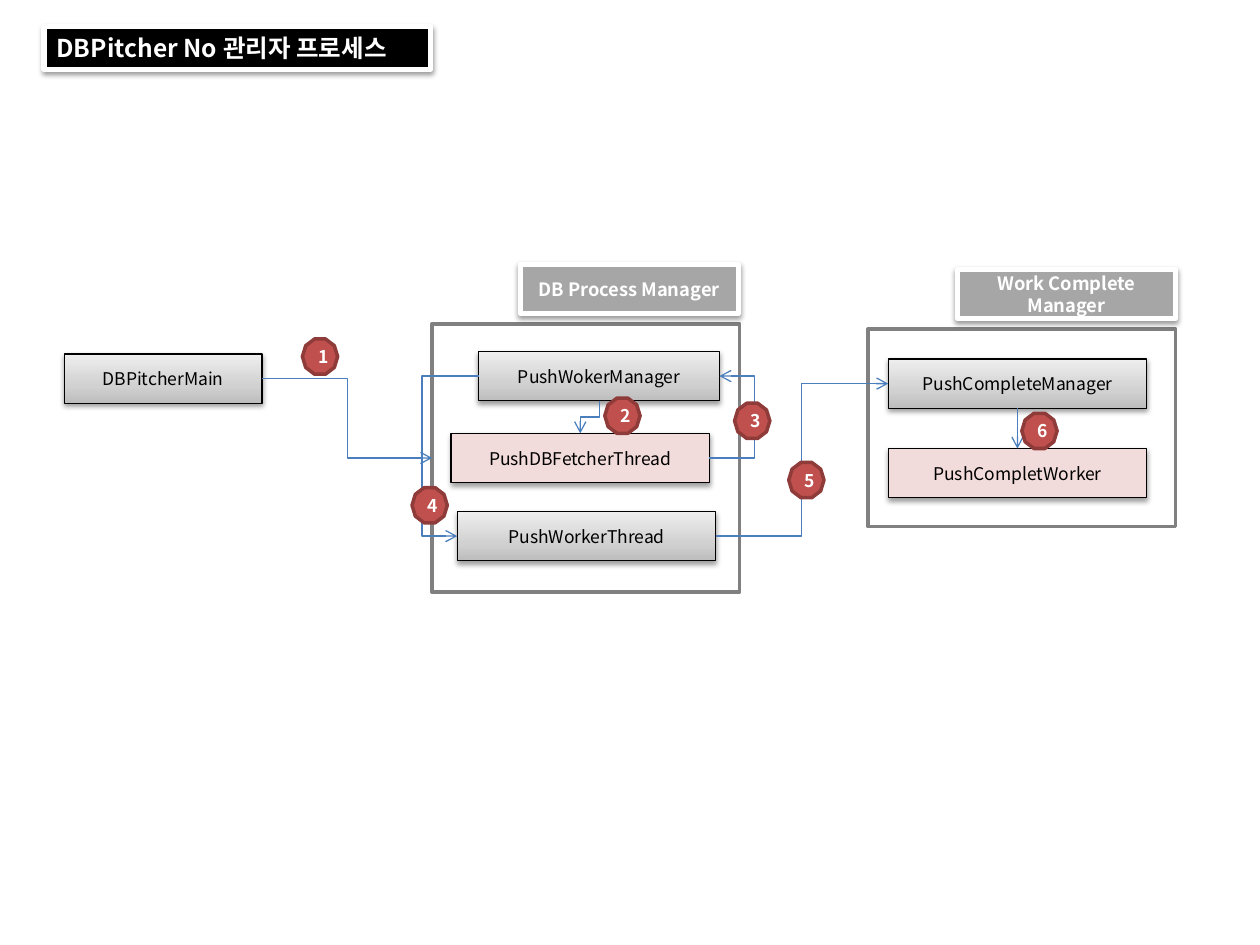
"""Builds the DBPitcher process flow slide."""
from lxml import etree
from pptx import Presentation
from pptx.dml.color import RGBColor
from pptx.enum import shapes, text
from pptx.oxml.ns import qn
from pptx.util import Inches, Pt

FONT = "Noto Sans CJK KR"
COLORS = {
    "black": "000000", "white": "FFFFFF", "label": "A6A6A6", "frame": "808080",
    "thread": "F2DCDB", "arrow": "4B7EBC", "badge": "C0504D", "badge_edge": "8E3B39",
}
STEEL = ((0, "BDBDBD"), (35, "D1D1D1"), (100, "EEEEEE"))
TITLE = ("DBPitcher No 관리자 프로세스", 0.35, 0.21, 3.07, 0.34)
BOX_H = 0.39
BADGE = 0.28
FRAMES = {"db": (3.43, 2.57, 2.44, 2.13), "complete": (6.89, 2.61, 2.44, 1.57)}
LABELS = [("DB Process Manager", 4.13, 2.1, 1.73), ("Work Complete Manager", 7.6, 2.14, 1.73)]
BOXES = [
    ("DBPitcherMain", 0.51, 2.81, 1.57, "steel"),
    ("PushWokerManager", 3.8, 2.79, 1.91, "steel"),
    ("PushDBFetcherThread", 3.58, 3.44, 2.05, "thread"),
    ("PushWorkerThread", 3.63, 4.06, 2.05, "steel"),
    ("PushCompleteManager", 7.05, 2.85, 2.05, "steel"),
    ("PushCompletWorker", 7.05, 3.56, 2.05, "thread"),
]
TOP, LEFT, BOTTOM, RIGHT = range(4)
STEPS = [
    ("DBPitcherMain", RIGHT, "db", LEFT, 2.76, (2.4, 2.69)),
    ("PushWokerManager", BOTTOM, "PushDBFetcherThread", TOP, None, (4.8, 3.16)),
    ("PushDBFetcherThread", RIGHT, "PushWokerManager", RIGHT, 5.99, (5.83, 3.2)),
    ("PushWokerManager", LEFT, "PushWorkerThread", LEFT, 3.35, (3.27, 3.87)),
    ("PushWorkerThread", RIGHT, "PushCompleteManager", LEFT, 6.36, (6.26, 3.67)),
    ("PushCompleteManager", BOTTOM, "PushCompletWorker", TOP, None, (8.11, 3.28)),
]


def rgb(name):
    return RGBColor.from_string(COLORS[name])


def child(parent, tag, **attributes):
    return etree.SubElement(parent, qn(tag), {k: str(v) for k, v in attributes.items()})


def add_steel(shape):
    shape.fill.background()
    blank = shape._element.spPr.find(qn("a:noFill"))
    gradient = etree.Element(qn("a:gradFill"), rotWithShape="1")
    stops = child(gradient, "a:gsLst")
    for position, color in STEEL:
        child(child(stops, "a:gs", pos=position * 1000), "a:srgbClr", val=color)
    child(gradient, "a:lin", ang=270 * 60000, scaled=0)
    blank.getparent().replace(blank, gradient)


def add_shadow(shape):
    effects = shape._element.spPr.find(qn("a:effectLst"))
    shadow = child(effects, "a:outerShdw", blurRad=Pt(3.1), dist=Pt(1.6),
                   dir=90 * 60000, rotWithShape=0)
    child(child(shadow, "a:srgbClr", val=COLORS["black"]), "a:alpha", val=38000)


def add_block(place, fill, edge, weight, shadow=True, preset=shapes.MSO_SHAPE.RECTANGLE):
    shape = slide.shapes.add_shape(preset, *map(Inches, place))
    shape.shadow.inherit = False
    if fill == "steel":
        add_steel(shape)
    elif fill:
        shape.fill.solid()
        shape.fill.fore_color.rgb = rgb(fill)
    else:
        shape.fill.background()
    shape.line.color.rgb = rgb(edge)
    shape.line.width = Pt(weight)
    if shadow:
        add_shadow(shape)
    return shape


def write(shape, words, size, color, bold=False, align=text.PP_ALIGN.CENTER):
    frame = shape.text_frame
    frame.text = words
    frame.word_wrap = True
    frame.vertical_anchor = text.MSO_ANCHOR.MIDDLE
    paragraph = frame.paragraphs[0]
    paragraph.alignment = align
    font = paragraph.runs[0].font
    font.size, font.bold, font.name = Pt(size), bold, FONT
    font.color.rgb = rgb(color)
    child(paragraph.runs[0]._r.rPr, "a:ea", typeface=FONT)


def side(shape, site):
    x = {LEFT: 0, RIGHT: shape.width}.get(site, shape.width // 2)
    y = {TOP: 0, BOTTOM: shape.height}.get(site, shape.height // 2)
    return shape.left + x, shape.top + y


def connect(start, start_site, end, end_site, bend):
    (x1, y1), (x2, y2) = side(start, start_site), side(end, end_site)
    arrow = slide.shapes.add_connector(shapes.MSO_CONNECTOR.ELBOW, x1, y1, x2, y2)
    arrow.begin_connect(start, start_site)
    arrow.end_connect(end, end_site)
    arrow.line.color.rgb = rgb("arrow")
    arrow.line.width = Pt(0.75)
    properties = arrow._element.spPr
    child(properties.find(qn("a:ln")), "a:tailEnd", type="arrow")
    child(properties, "a:effectLst")
    if bend is None:
        width, height = y2 - y1, abs(x2 - x1)
        arrow.left, arrow.top = (x1 + x2 - width) // 2, (y1 + y2 - height) // 2
        arrow.width, arrow.height = width, height
        transform = properties.find(qn("a:xfrm"))
        transform.attrib.pop("flipH", None)
        transform.set("rot", str(90 * 60000))
    else:
        guides = properties.find(qn("a:prstGeom")).find(qn("a:avLst"))
        ratio = round((Inches(bend) - x1) / (x2 - x1) * 100000)
        child(guides, "a:gd", name="adj1", fmla=f"val {ratio}")


deck = Presentation()
deck.slide_width, deck.slide_height = Inches(10), Inches(7.5)
slide = deck.slides.add_slide(deck.slide_layouts[6])

heading, *heading_place = TITLE
banner = add_block(heading_place, "black", "white", 3)
write(banner, heading, 14, "white", True, text.PP_ALIGN.LEFT)
banner.text_frame.vertical_anchor = text.MSO_ANCHOR.TOP
banner.text_frame.auto_size = text.MSO_AUTO_SIZE.SHAPE_TO_FIT_TEXT

parts = {key: add_block(place, None, "frame", 2, False) for key, place in FRAMES.items()}
for words, left, top, width in LABELS:
    write(add_block((left, top, width, BOX_H), "label", "white", 3), words, 10.5, "white", True)
for words, left, top, width, fill in BOXES:
    parts[words] = add_block((left, top, width, BOX_H), fill, "black", 0.75)
    write(parts[words], words, 10, "black")
for start, start_site, end, end_site, bend, _ in STEPS:
    connect(parts[start], start_site, parts[end], end_site, bend)
for number, (*_, corner) in enumerate(STEPS, 1):
    badge = add_block((*corner, BADGE, BADGE), "badge", "badge_edge", 2, False,
                      shapes.MSO_SHAPE.DECAGON)
    write(badge, str(number), 10, "white", True)

deck.save("out.pptx")
